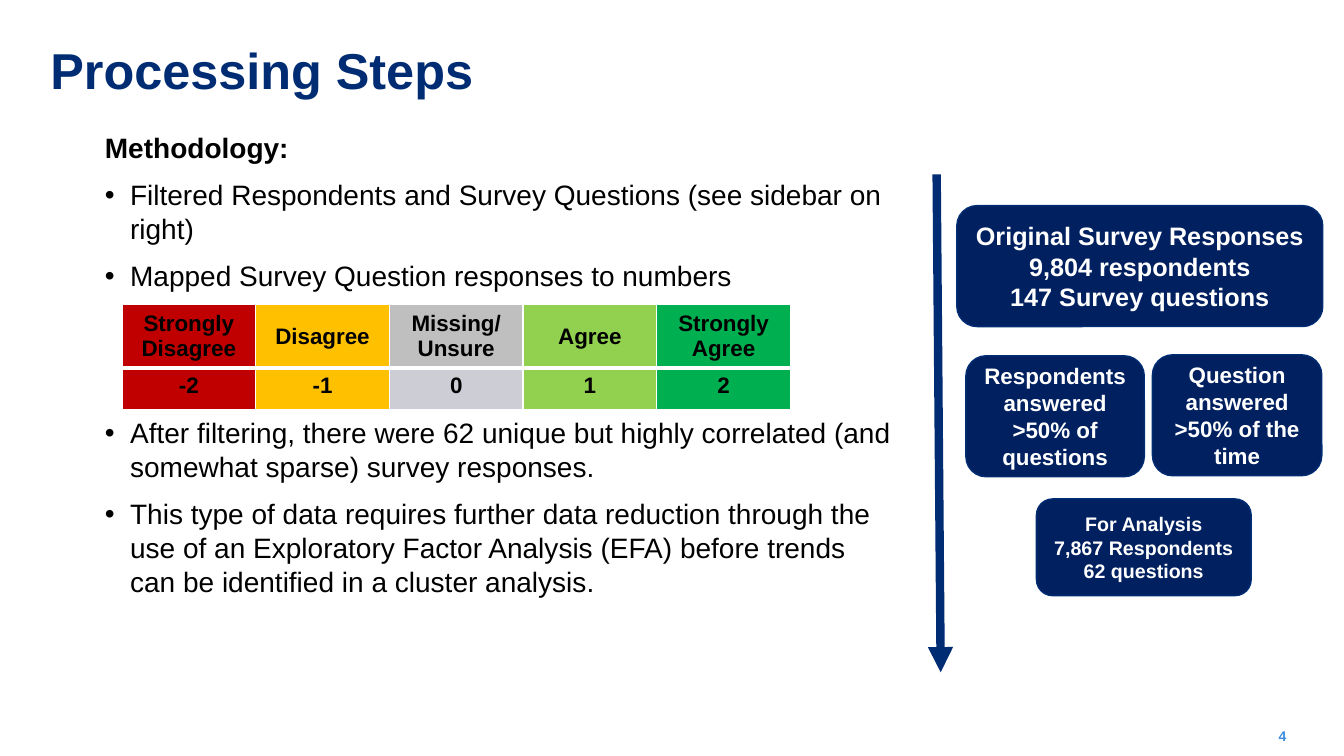
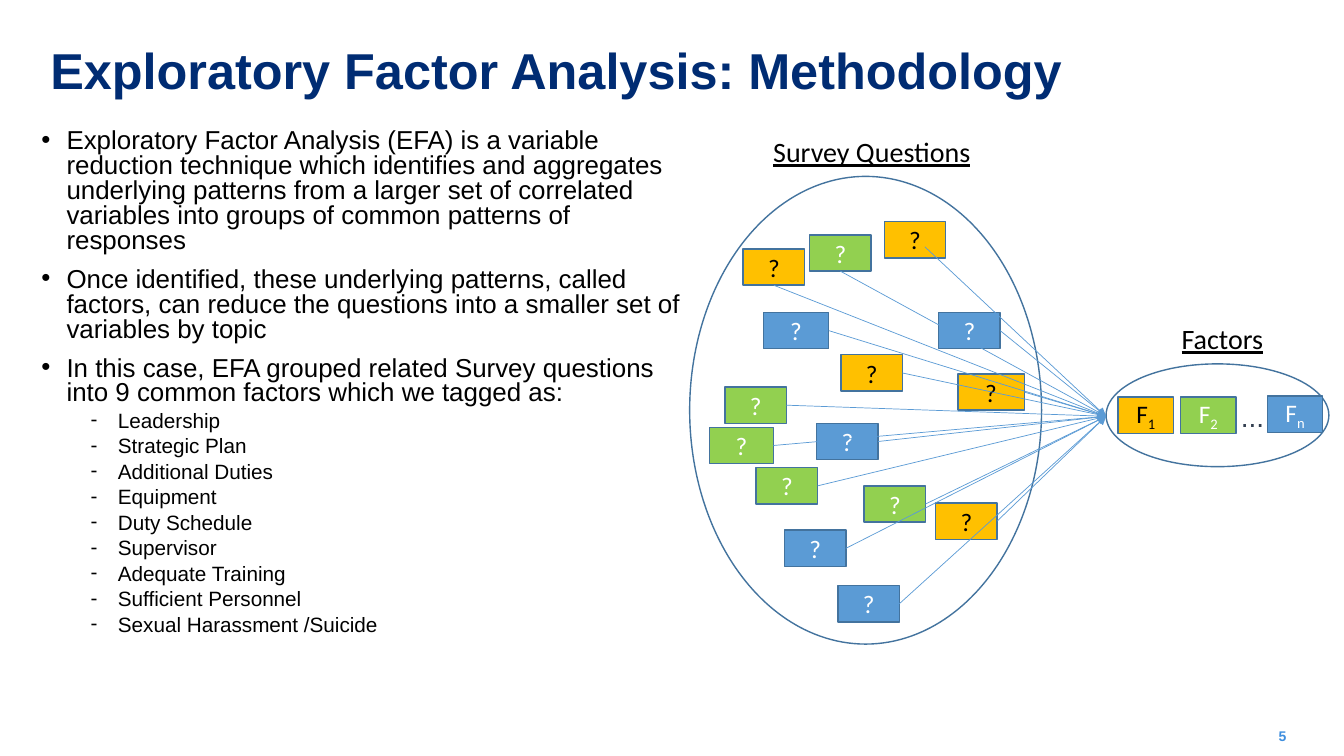
from lxml.etree import SubElement
from pptx import Presentation
from pptx.dml.color import RGBColor
from pptx.enum.shapes import MSO_CONNECTOR as Connector, MSO_SHAPE as Shape
from pptx.enum.text import MSO_ANCHOR as Anchor, PP_ALIGN as Align
from pptx.oxml.ns import qn
from pptx.util import Inches, Pt

COLORS = {
    "navy": "002C73", "box": "002060", "page": "3E8EDE", "outline": "43739E",
    "black": "000000", "white": "FFFFFF", "slate": "333F50",
    "blue": "5B9BD5", "green": "92D050", "amber": "FFC000",
    "red": "C00000", "gray": "BFBFBF", "pale": "CCCDD5", "emerald": "00B050",
}

# Text styles: font attributes, with the colour named separately
TITLE = {"name": "Arial", "size": Pt(36), "bold": True, "color": "navy"}
PAGE = {"name": "Arial", "size": Pt(10), "bold": True, "color": "page"}
BODY = {"name": "Arial", "size": Pt(20), "bold": False, "color": "black"}
BOX = {"name": "Arial", "size": Pt(18), "bold": True, "color": "white"}
CELL = {"name": "Arial", "size": Pt(16), "bold": True, "color": "black"}
TILE = {"name": "Calibri", "size": Pt(18), "bold": False, "color": "white"}
LABEL = {"name": "Calibri", "size": Pt(20), "underline": True, "color": "black"}
INK = {"amber": "black", "green": "white", "blue": "white"}

# Paragraph formats: attributes plus an optional bullet with its indent
TOP = {"space_before": Pt(10)}
BULLET = {"space_before": Pt(10), "bullet": ("•", 0.25, -0.25)}
TIGHT = {**BULLET, "line_spacing": 0.8}
DASH = {"space_before": Pt(4), "line_spacing": 0.8, "level": 1,
        "bullet": ("-", 0.76, -0.27)}
CENTER = {"alignment": Align.CENTER}

# Numeric scale: heading, value, heading fill, value fill
SCALE = [
    ("Strongly Disagree", "-2", "red", "red"),
    ("Disagree", "-1", "amber", "amber"),
    ("Missing/\nUnsure", "0", "gray", "pale"),
    ("Agree", "1", "green", "green"),
    ("Strongly\nAgree", "2", "emerald", "emerald"),
]

# Filter boxes: position, text size, text
FILTER_BOXES = [
    ((9.49, 2.04, 3.63, 1.2), 18,
     "Original Survey Responses\n9,804 respondents\n147 Survey questions"),
    ((9.58, 3.53, 1.77, 1.2), 16, "Respondents answered >50% of questions"),
    ((11.43, 3.52, 1.68, 1.2), 16, "Question answered >50% of the time"),
    ((10.28, 4.95, 2.13, 0.96), 14,
     "For Analysis\n7,867 Respondents\n62 questions"),
]

# Question tiles: left, top, width, fill, where the arrow leaves the tile
RIGHT, BOTTOM, INSIDE = (1, 0.5), (0.5, 1), (0.66, 0.69)
TILE_HEIGHT = 0.36
QUESTIONS = [
    (9.31, 3.1, 0.61, "blue", RIGHT),
    (8.1, 4.2, 0.61, "blue", RIGHT),
    (8.31, 5.81, 0.61, "blue", RIGHT),
    (7.57, 3.1, 0.65, "blue", RIGHT),
    (7.04, 4.24, 0.63, "green", RIGHT),
    (7.5, 4.64, 0.61, "green", RIGHT),
    (7.19, 3.84, 0.61, "green", RIGHT),
    (8.03, 2.33, 0.61, "green", BOTTOM),
    (9.28, 4.99, 0.61, "amber", RIGHT),
    (9.5, 3.71, 0.66, "amber", RIGHT),
    (8.34, 3.52, 0.61, "amber", RIGHT),
    (7.78, 5.26, 0.61, "blue", RIGHT),
    (8.57, 4.82, 0.61, "green", RIGHT),
    (7.37, 2.47, 0.61, "amber", BOTTOM),
    (8.77, 2.2, 0.61, "amber", INSIDE),
]
FACTORS = [(11.09, 3.94, "amber", "1"), (11.71, 3.94, "green", "2"),
           (12.57, 3.93, "blue", "n")]
FACTOR_NAMES = [
    "Leadership", "Strategic Plan", "Additional Duties", "Equipment",
    "Duty Schedule", "Supervisor", "Adequate Training",
    "Sufficient Personnel", "Sexual Harassment /Suicide",
]


def rgb(name):
    return RGBColor.from_string(COLORS[name])


def inches(values):
    return [Inches(value) for value in values]


# Text
def add_run(paragraph, text, style):
    run = paragraph.add_run()
    run.text = text
    for key, value in style.items():
        if key == "color":
            run.font.color.rgb = rgb(value)
        else:
            setattr(run.font, key, value)
    return run


def format_paragraph(paragraph, layout):
    for key, value in layout.items():
        if key == "bullet":
            mark, margin, indent = value
            properties = paragraph._p.get_or_add_pPr()
            properties.set("marL", str(Inches(margin)))
            properties.set("indent", str(Inches(indent)))
            SubElement(properties, qn("a:buFont"), typeface="Arial")
            SubElement(properties, qn("a:buChar"), char=mark)
        else:
            setattr(paragraph, key, value)


def write(frame, items):
    """Fill a frame with (text, style, layout) items, one paragraph a line."""
    lines = [(line, style, layout) for text, style, layout in items
             for line in text.split("\n")]
    for index, (line, style, layout) in enumerate(lines):
        paragraph = frame.add_paragraph() if index else frame.paragraphs[0]
        format_paragraph(paragraph, layout)
        add_run(paragraph, line, style)


def add_text(slide, box, items, anchor=Anchor.TOP, inset=(0, 0)):
    frame = slide.shapes.add_textbox(*inches(box)).text_frame
    across, down = inches(inset)
    settings = {"word_wrap": True, "vertical_anchor": anchor,
                "margin_left": across, "margin_right": across,
                "margin_top": down, "margin_bottom": down}
    for key, value in settings.items():
        setattr(frame, key, value)
    write(frame, items)


# Shapes and lines
def add_box(slide, kind, box, fill, line, items=()):
    shape = slide.shapes.add_shape(kind, *inches(box))
    shape.shadow.inherit = False
    if fill:
        shape.fill.solid()
        shape.fill.fore_color.rgb = rgb(fill)
    else:
        shape.fill.background()
    shape.line.color.rgb = rgb(line)
    shape.line.width = Pt(1)
    shape.text_frame.vertical_anchor = Anchor.MIDDLE
    write(shape.text_frame, items)
    return shape


def add_arrow(slide, start, end, color, width):
    arrow = slide.shapes.add_connector(
        Connector.STRAIGHT, *inches(start), *inches(end))
    arrow.line.color.rgb = rgb(color)
    arrow.line.width = Pt(width)
    SubElement(arrow.line._get_or_add_ln(), qn("a:tailEnd"), type="triangle")
    SubElement(arrow._element.spPr, qn("a:effectLst"))


def add_tile(slide, left, top, width, fill, text, subscript=""):
    style = {**TILE, "color": INK[fill]}
    tile = add_box(slide, Shape.RECTANGLE, (left, top, width, TILE_HEIGHT),
                   fill, "outline", [(text, style, CENTER)])
    if subscript:
        run = add_run(tile.text_frame.paragraphs[0], subscript, style)
        run._r.get_or_add_rPr().set("baseline", "-25000")


# Table
def set_borders(cell, widths):
    properties = cell._tc.get_or_add_tcPr()
    fill_index = 0
    for side, width in widths.items():
        line = properties.makeelement(qn("a:ln" + side), {"w": str(Pt(width))})
        fill = SubElement(line, qn("a:solidFill"))
        SubElement(fill, qn("a:srgbClr"), val=COLORS["white"])
        properties.insert(fill_index, line)
        fill_index += 1


def add_scale_table(slide):
    table = slide.shapes.add_table(
        2, len(SCALE), *inches((1.21, 3.02, 6.63, 1.02))).table
    for row, height in zip(table.rows, (0.61, 0.41)):
        row.height = Inches(height)
    for column, (heading, value, *fills) in enumerate(SCALE):
        table.columns[column].width = Inches(6.63 / len(SCALE))
        for row, text in enumerate((heading, value)):
            cell = table.cell(row, column)
            cell.fill.solid()
            cell.fill.fore_color.rgb = rgb(fills[row])
            cell.vertical_anchor = Anchor.TOP if row else Anchor.MIDDLE
            write(cell.text_frame, [(text, CELL, CENTER)])
            set_borders(cell, {"L": 1, "R": 1, "T": 3 if row else 1,
                               "B": 1 if row else 3})


# Slides
def add_slide(presentation, title, number):
    slide = presentation.slides.add_slide(presentation.slide_layouts[6])
    add_text(slide, (0.5, 0.46, 12.33, 0.83),
             [(title, TITLE, {"line_spacing": 0.9})])
    add_text(slide, (12.51, 7.11, 0.42, 0.39),
             [(str(number), PAGE, CENTER)], Anchor.MIDDLE)
    return slide


def build_processing(presentation):
    slide = add_slide(presentation, "Processing Steps", 4)
    below_table = {**BULLET, "space_before": Pt(88)}
    add_text(slide, (1.04, 1.29, 7.82, 5.5), [
        ("Methodology:", {**BODY, "bold": True}, TOP),
        ("Filtered Respondents and Survey Questions (see sidebar on right)",
         BODY, BULLET),
        ("Mapped Survey Question responses to numbers", BODY, BULLET),
        ("After filtering, there were 62 unique but highly correlated (and "
         "somewhat sparse) survey responses.", BODY, below_table),
        ("This type of data requires further data reduction through the use "
         "of an Exploratory Factor Analysis (EFA) before trends can be "
         "identified in a cluster analysis.", BODY, BULLET),
    ])
    add_scale_table(slide)
    add_arrow(slide, (9.29, 1.73), (9.33, 6.67), "navy", 6)
    for box, size, text in FILTER_BOXES:
        add_box(slide, Shape.ROUNDED_RECTANGLE, box, "box", "navy",
                [(text, {**BOX, "size": Pt(size)}, CENTER)])


def build_methodology(presentation):
    slide = add_slide(presentation,
                      "Exploratory Factor Analysis: Methodology", 5)
    large = {**BODY, "size": Pt(18.5)}
    small = {**BODY, "size": Pt(14.8)}
    add_text(slide, (0.41, 1.29, 6.39, 5.44), [
        ("Exploratory Factor Analysis (EFA) is a variable reduction technique "
         "which identifies and aggregates underlying patterns from a larger "
         "set of correlated variables into groups of common patterns of "
         "responses", large, TIGHT),
        ("Once identified, these underlying patterns, called factors, can "
         "reduce the questions into a smaller set of variables by topic",
         large, TIGHT),
        ("In this case, EFA grouped related Survey questions into 9 common "
         "factors which we tagged as:", large, TIGHT),
        *((name, small, DASH) for name in FACTOR_NAMES),
    ])

    # Groups and their labels
    for oval in ((6.84, 1.75, 3.49, 4.64), (10.97, 3.61, 2.21, 1.02)):
        add_box(slide, Shape.OVAL, oval, None, "outline")
    labels = [
        ((7.57, 1.29, 2.76, 0.44), "Survey Questions", LABEL),
        ((11.62, 3.14, 1.18, 0.44), "Factors", LABEL),
        ((12.21, 3.91, 0.5, 0.44), "...", {**BODY, "color": "slate"}),
    ]
    for box, text, style in labels:
        add_text(slide, box, [(text, style, {})], inset=(0.1, 0.05))

    # Tiles, then the arrows from questions to factors
    for left, top, width, fill, _ in QUESTIONS:
        add_tile(slide, left, top, width, fill, "?")
    for left, top, fill, subscript in FACTORS:
        add_tile(slide, left, top, 0.55, fill, "F", subscript)
    for left, top, width, _, (across, down) in QUESTIONS:
        start = (left + across * width, top + down * TILE_HEIGHT)
        add_arrow(slide, start, (10.97, 4.13), "blue", 0.5)


def main():
    presentation = Presentation()
    presentation.slide_width = Inches(13.33)
    presentation.slide_height = Inches(7.5)
    build_processing(presentation)
    build_methodology(presentation)
    presentation.save("out.pptx")


main()
